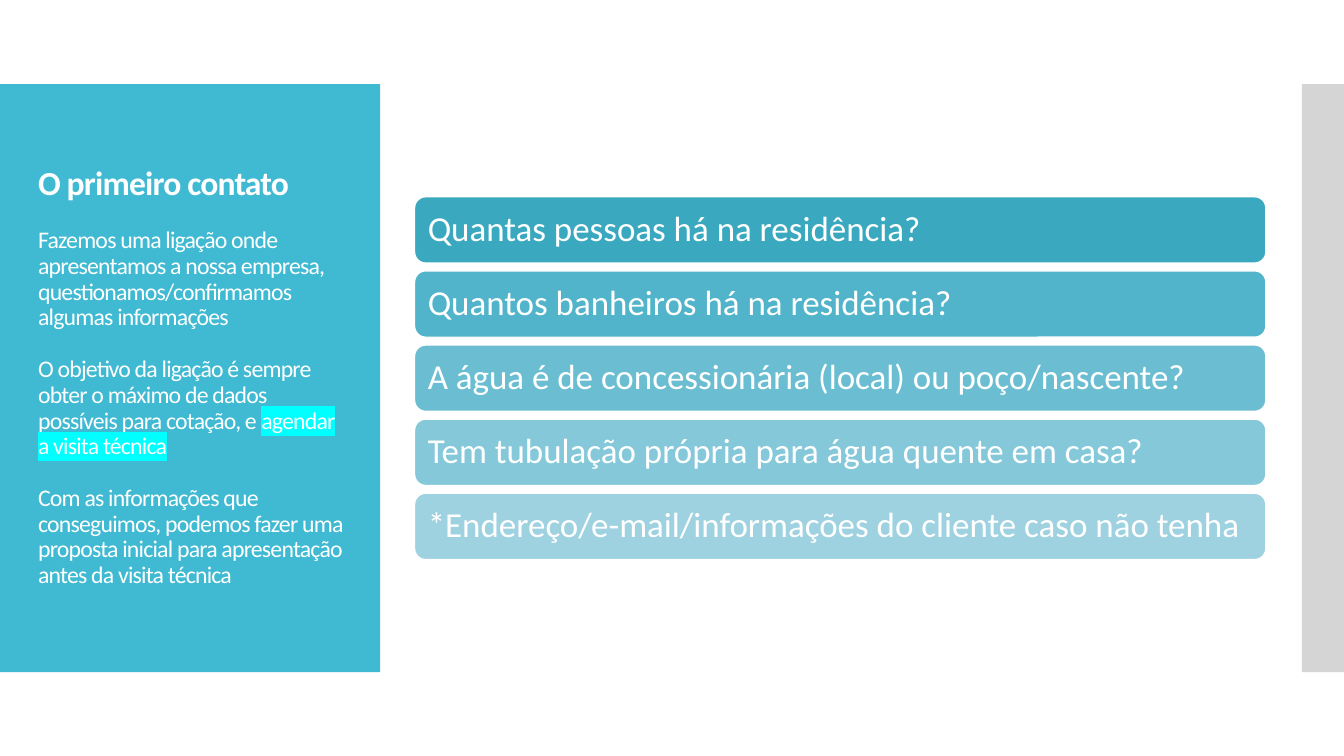
from dataclasses import dataclass

from lxml import etree
from pptx import Presentation
from pptx import util as u
from pptx.dml.color import RGBColor
from pptx.enum import shapes, text
from pptx.oxml import ns


@dataclass(frozen=True)
class Theme:
    font: str = "Calibri"
    white: str = "FFFFFF"
    panel: str = "40BAD2"
    edge: str = "C8C8C8"
    highlight: str = "00FFFF"
    bars: tuple = ("3AA9BF", "51B4CA", "6BBED1", "84C8D9", "9ED2E1")
    heading_size: float = 24
    body_size: float = 17
    bar_size: float = 25
    line_spacing: float = 0.9


THEME = Theme()

# Each paragraph is a list of (text, highlighted) spans
BODY = [
    [("Fazemos uma ligação onde apresentamos a nossa empresa, "
      "questionamos/confirmamos algumas informações", False)],
    [("O objetivo da ligação é sempre obter o máximo de dados possíveis "
      "para cotação, e ", False), ("agendar a visita técnica", True)],
    [("Com as informações que conseguimos, podemos fazer uma proposta inicial "
      "para apresentação antes da visita técnica", False)],
]
QUESTIONS = [
    "Quantas pessoas há na residência?",
    "Quantos banheiros há na residência?",
    "A água é de concessionária (local) ou poço/nascente?",
    "Tem tubulação própria para água quente em casa?",
    "*Endereço/e-mail/informações do cliente caso não tenha",
]


def apply_format(target, values):
    for name, value in values.items():
        setattr(target, name, value)


def add_block(page, kind, box, color):
    block = page.shapes.add_shape(kind, *map(u.Cm, box))
    block.shadow.inherit = False
    block.fill.solid()
    block.fill.fore_color.rgb = RGBColor.from_string(color)
    block.line.fill.background()
    return block


def add_span(para, words, size, bold=False):
    span = para.add_run()
    span.text = words
    apply_format(span.font, {"name": THEME.font, "size": u.Pt(size), "bold": bold})
    span.font.color.rgb = RGBColor.from_string(THEME.white)
    return span


def format_frame(frame, inset):
    apply_format(frame, {
        "word_wrap": True, "auto_size": text.MSO_AUTO_SIZE.NONE,
        "vertical_anchor": text.MSO_ANCHOR.MIDDLE,
        "margin_left": u.Cm(inset), "margin_right": u.Cm(inset),
    })


def format_para(para, before=0):
    apply_format(para, {
        "alignment": text.PP_ALIGN.LEFT, "line_spacing": THEME.line_spacing,
        "space_before": u.Pt(before),
    })


def highlight(span):
    fill = span._r.get_or_add_rPr().find(ns.qn("a:solidFill"))
    mark = etree.Element(ns.qn("a:highlight"))
    etree.SubElement(mark, ns.qn("a:srgbClr"), val=THEME.highlight)
    fill.addnext(mark)


def add_title_panel(page, box):
    left, top, width, height = box
    panel = add_block(page, shapes.MSO_SHAPE.RECTANGLE, box, THEME.panel)

    # Title placeholder, brought in front of the panel
    title = page.shapes.title
    panel.element.addnext(title.element)
    apply_format(title, {
        "left": u.Cm(left + 0.71), "top": u.Cm(top + 1),
        "width": u.Cm(width - 1.4), "height": u.Cm(height - 2.04),
    })
    frame = title.text_frame
    format_frame(frame, 0.25)

    # Heading, then body paragraphs one line apart
    format_para(frame.paragraphs[0])
    spans = [add_span(frame.paragraphs[0], "O primeiro contato",
                      THEME.heading_size, True)]
    for parts in BODY:
        para = frame.add_paragraph()
        format_para(para, before=18.5)
        for words, marked in parts:
            span = add_span(para, words, THEME.body_size)
            spans.append(span)
            if marked:
                highlight(span)
    for span in spans:
        span._r.get_or_add_rPr().set("spc", "-60")


def add_edge(page, box):
    edge = add_block(page, shapes.MSO_SHAPE.RECTANGLE, box, THEME.edge)
    color = edge.element.spPr.find(ns.qn("a:solidFill"))[0]
    etree.SubElement(color, ns.qn("a:alpha"), val="75000")


def add_questions(page, box, gap=0.2):
    left, top, width, height = box
    bar_height = (height - gap * (len(QUESTIONS) - 1)) / len(QUESTIONS)
    for index, (question, color) in enumerate(zip(QUESTIONS, THEME.bars)):
        bar_top = top + index * (bar_height + gap)
        bar = add_block(page, shapes.MSO_SHAPE.ROUNDED_RECTANGLE,
                        (left, bar_top, width, bar_height), color)
        bar.line.color.rgb = RGBColor.from_string(THEME.white)
        bar.line.width = u.Pt(0.85)
        format_frame(bar.text_frame, 0.25)
        para = bar.text_frame.paragraphs[0]
        format_para(para)
        add_span(para, question, THEME.bar_size)


def main():
    deck = Presentation()
    deck.slide_width, deck.slide_height = u.Cm(33.87), u.Cm(19.05)
    page = deck.slides.add_slide(deck.slide_layouts[5])
    add_title_panel(page, (0, 2.12, 9.58, 14.82))
    add_edge(page, (32.81, 2.12, 1.06, 14.82))
    add_questions(page, (10.45, 4.96, 21.45, 9.14))
    deck.save("out.pptx")


if __name__ == "__main__":
    main()
